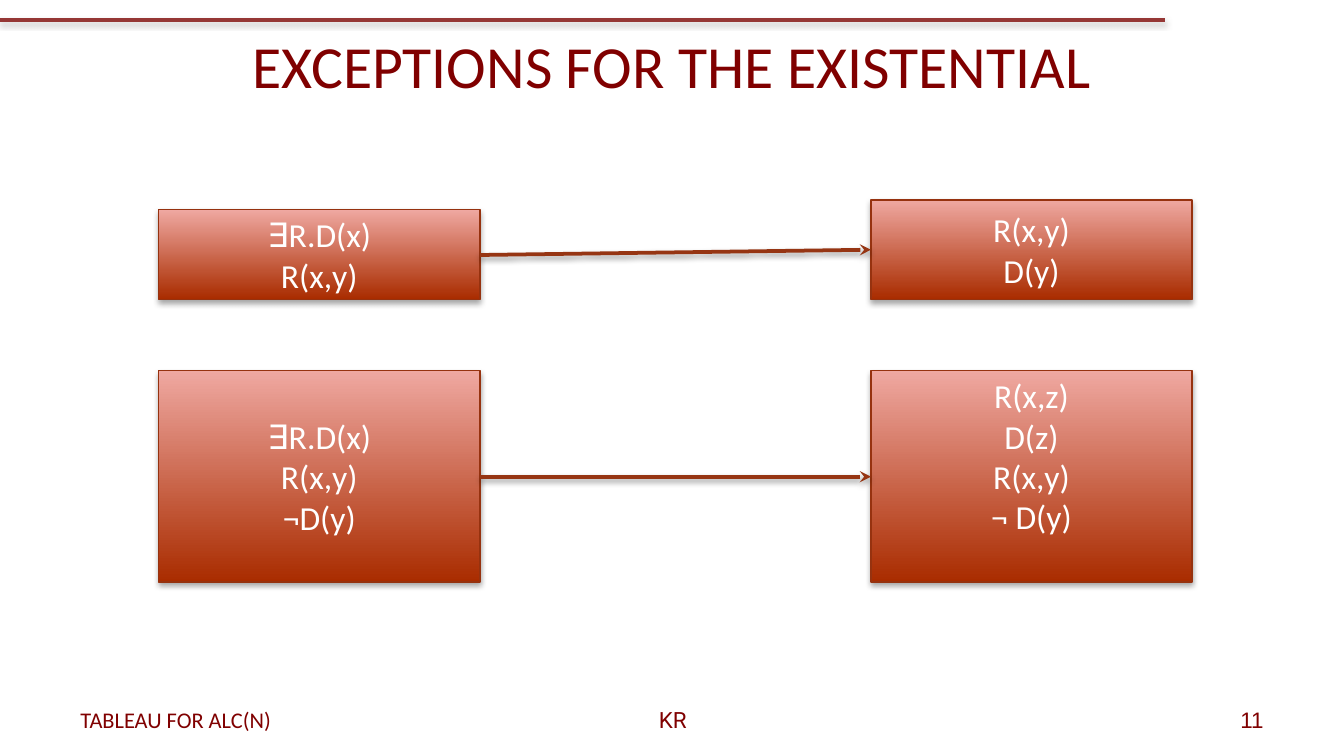
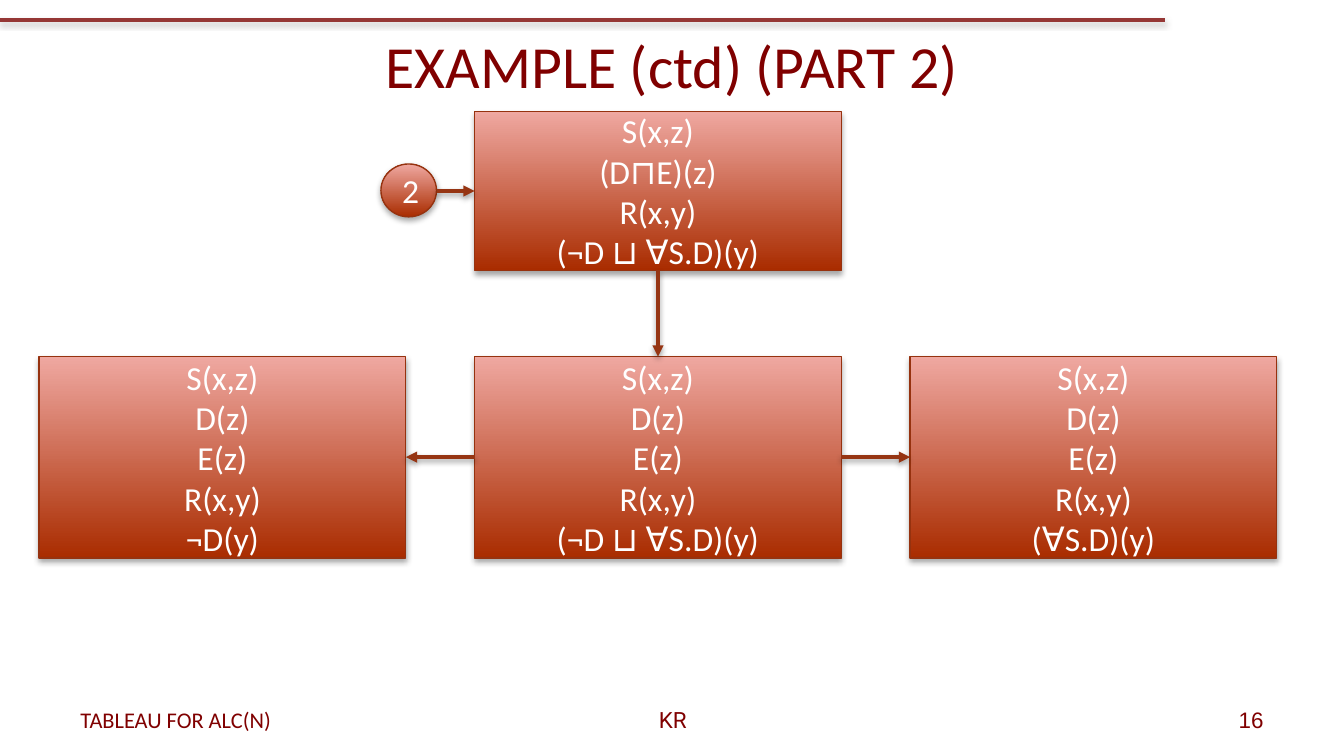
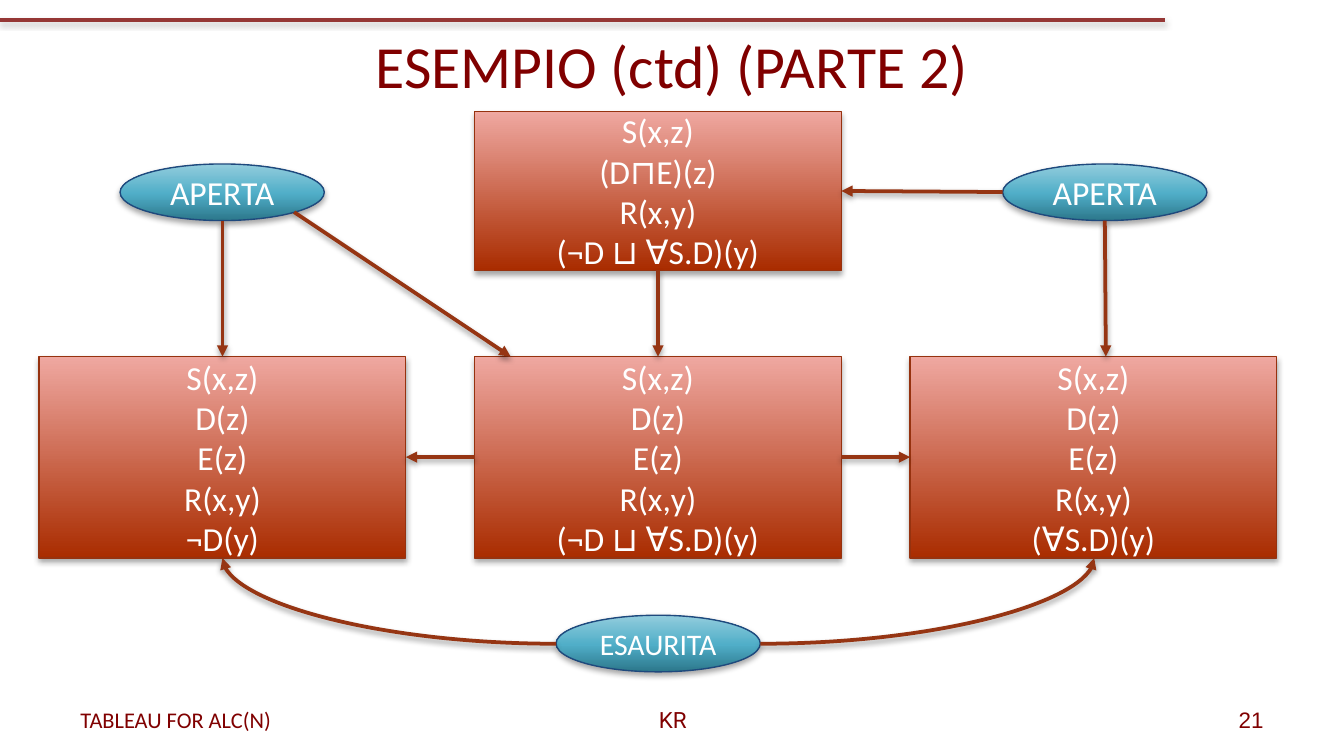
from copy import deepcopy

from pptx import Presentation
from pptx.dml.color import RGBColor
from pptx.enum.shapes import MSO_CONNECTOR, MSO_SHAPE
from pptx.enum.text import MSO_ANCHOR, MSO_AUTO_SIZE, PP_ALIGN
from pptx.oxml import parse_xml
from pptx.oxml.ns import nsdecls, qn
from pptx.util import Cm, Pt

RECT, OVAL = MSO_SHAPE.RECTANGLE, MSO_SHAPE.OVAL
LINE, CURVE = MSO_CONNECTOR.STRAIGHT, MSO_CONNECTOR.CURVE
LEFT, MID, RIGHT = PP_ALIGN.LEFT, PP_ALIGN.CENTER, PP_ALIGN.RIGHT
MIDDLE, NO_FIT = MSO_ANCHOR.MIDDLE, MSO_AUTO_SIZE.NONE

WHITE = RGBColor(0xFF, 0xFF, 0xFF)
BLACK = RGBColor(0x00, 0x00, 0x00)
GREY = RGBColor(0x80, 0x80, 0x80)
WINE = RGBColor(0x80, 0x00, 0x00)
BAND = RGBColor(0x95, 0x37, 0x35)
ARROW = RGBColor(0x96, 0x35, 0x13)
RUST = RGBColor(0x96, 0x32, 0x0F)
NAVY = RGBColor(0x1F, 0x49, 0x7D)
RED = [(0, RGBColor(0xA9, 0x2C, 0x00)), (1, RGBColor(0xEF, 0xA8, 0xA1))]
TEAL = [
    (0, RGBColor(0x2C, 0x77, 0x8B)),
    (0.48, RGBColor(0x50, 0xAE, 0xC8)),
    (1, RGBColor(0x93, 0xCD, 0xDD)),
]
SHADE = (
    "<a:effectLst " + nsdecls("a") + '><a:outerShdw blurRad="40000" dist="{}" '
    'dir="5400000" rotWithShape="0"><a:srgbClr val="{}"><a:alpha val="{}"/>'
    "</a:srgbClr></a:outerShdw></a:effectLst>"
)
HEAD = "<a:tailEnd " + nsdecls("a") + ' type="{}"/>'


def block(page, kind, spot, rows, stops=RED, edge=RUST, size=18):
    shape = page.shapes.add_shape(kind, *[Cm(n) for n in spot])
    fill = shape.fill
    fill.gradient()
    fill.gradient_angle = 90
    props = shape._element.spPr
    marks = props.find(".//" + qn("a:gsLst"))
    while len(marks) < len(stops):
        marks.append(deepcopy(marks[0]))
    for mark, (place, tint) in zip(fill.gradient_stops, stops):
        mark.position = place
        mark.color.rgb = tint
    shape.line.color.rgb = edge
    shape.line.width = Pt(0.75)
    props.append(parse_xml(SHADE.format(23000, BLACK, 35000)))
    frame = shape.text_frame
    frame.word_wrap = True
    frame.vertical_anchor = MIDDLE
    for i, row in enumerate(rows):
        para = frame.add_paragraph() if i else frame.paragraphs[0]
        para.alignment = MID
        run = para.add_run()
        run.text = row
        run.font.size = Pt(size)
        run.font.name = "Calibri"
        run.font.color.rgb = WHITE
    return shape


def link(page, ends, head="triangle", kind=LINE, tint=ARROW, shade=BLACK):
    line = page.shapes.add_connector(kind, *[Cm(n) for n in ends])
    line.line.color.rgb = tint
    line.line.width = Pt(2)
    props = line._element.spPr
    if head:
        props.find(qn("a:ln")).append(parse_xml(HEAD.format(head)))
    if kind == CURVE:
        props.find(qn("a:prstGeom")).set("prst", "curvedConnector2")
    props.append(parse_xml(SHADE.format(20000, shade, 38000)))


deck = Presentation()
deck.slide_width, deck.slide_height = Cm(25.4), Cm(14.29)

pages = []
for name, num in [
    ("EXCEPTIONS FOR THE EXISTENTIAL", "11"),
    ("EXAMPLE (ctd) (PART 2)", "16"),
    ("ESEMPIO (ctd) (PARTE 2)", "21"),
]:
    page = deck.slides.add_slide(deck.slide_layouts[5])
    pages.append(page)
    link(page, (0, 0.38, 22.02, 0.38), None, tint=BAND, shade=GREY)
    title = page.shapes.title
    title.left, title.top, title.width, title.height = Cm(1.27), Cm(0.03), Cm(22.86), Cm(2.39)
    texts = [(title, name, MID, "Calibri", 32)]
    for left, width, text, align, face in [
        (1.27, 6.93, "TABLEAU FOR ALC(N)", LEFT, "Calibri"),
        (8.69, 8.05, "KR", MID, "Roboto"),
        (18.21, 5.92, num, RIGHT, "Arial"),
    ]:
        foot = page.shapes.add_textbox(Cm(left), Cm(13.23), Cm(width), Cm(0.76))
        texts.append((foot, text, align, face, 12))
    for shape, text, align, face, size in texts:
        frame = shape.text_frame
        frame.word_wrap = True
        frame.auto_size = NO_FIT
        frame.vertical_anchor = MIDDLE
        para = frame.paragraphs[0]
        para.alignment = align
        run = para.add_run()
        run.text = text
        run.font.size = Pt(size)
        run.font.name = face
        run.font.color.rgb = WINE

rules, part, full = pages

near, far, wide = 3, 16.46, 6.07
block(rules, RECT, (near, 3.96, wide, 1.7), ["∃R.D(x)", "R(x,y)"])
block(rules, RECT, (far, 3.78, wide, 1.88), ["R(x,y)", "D(y)"])
block(rules, RECT, (near, 7.01, wide, 3.99), ["∃R.D(x)", "R(x,y)", "¬D(y)"])
last = block(rules, RECT, (far, 7.01, wide, 3.99), ["R(x,z)", "D(z)", "R(x,y)", "¬ D(y)"])
last.text_frame.margin_bottom = Cm(0.9)
for start, end in [(4.82, 4.72), (9.01, 9.01)]:
    link(rules, (near + wide, start, far, end), "stealth")

wide, step, edge = 6.93, 8.23, 0.74
cols = [edge + step * i for i in range(3)]
mids = [col + wide / 2 for col in cols]
top, base, tall = 6.74, 10.55, 3.81
either = "(¬D ⊔ ∀S.D)(y)"
for page in (part, full):
    block(page, RECT, (cols[1], 2.11, wide, 3), ["S(x,z)", "(D⊓E)(z)", "R(x,y)", either])
    for col, fact in zip(cols, ["¬D(y)", either, "(∀S.D)(y)"]):
        block(page, RECT, (col, top, wide, tall), ["S(x,z)", "D(z)", "E(z)", "R(x,y)", fact])
    link(page, (mids[1], 5.11, mids[1], top))
    link(page, (cols[1], 8.64, cols[0] + wide, 8.64))
    link(page, (cols[1] + wide, 8.64, cols[2], 8.64))

block(part, OVAL, (7.2, 3.1, 1.05, 1), ["2"])
link(part, (8.25, 3.61, cols[1], 3.61))

for left, high, word, size in [
    (2.27, 3.1, "APERTA", 18),
    (18.95, 3.1, "APERTA", 18),
    (10.51, 11.63, "ESAURITA", 16),
]:
    block(full, OVAL, (left, high, 3.86, 1.07), [word], TEAL, NAVY, size)
for ends in [
    (18.95, 3.63, cols[1] + wide, 3.61),
    (20.88, 4.17, 20.9, top),
    (mids[0], 4.17, mids[0], top),
    (5.56, 4.01, 9.65, top),
]:
    link(full, ends)
for start, end in [(10.51, mids[0]), (14.37, 20.68)]:
    link(full, (start, 12.17, end, base), kind=CURVE)

deck.save("out.pptx")
